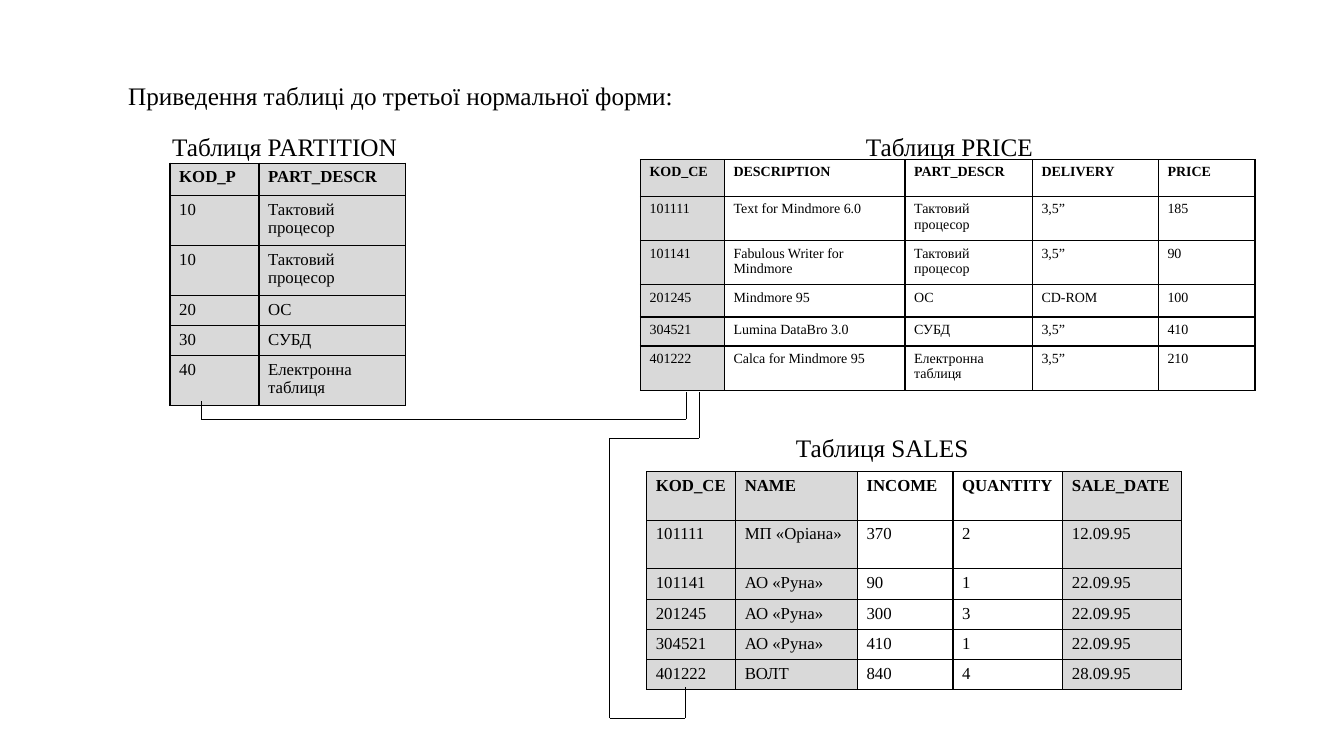
"""Build a slide showing three tables brought to third normal form."""
from dataclasses import dataclass
from itertools import pairwise

import lxml.etree
import pptx
import pptx.dml.color
import pptx.enum.shapes
import pptx.oxml.ns
import pptx.slide
import pptx.text.text
import pptx.util

Pt = pptx.util.Pt
qn = pptx.oxml.ns.qn

BLACK = pptx.dml.color.RGBColor(0x00, 0x00, 0x00)
WHITE = pptx.dml.color.RGBColor(0xFF, 0xFF, 0xFF)
GREY = pptx.dml.color.RGBColor(0xD9, 0xD9, 0xD9)
FONT = "Times New Roman"


@dataclass
class Heading:
    text: str
    left: float
    top: float
    width: float


@dataclass
class DataTable:
    left: float
    top: float
    size: float
    widths: list[float]
    heights: list[float]
    shaded: set[int]
    rows: list[list[str]]


HEADINGS = [
    Heading("Приведення таблиці до третьої нормальної форми:", 91.5, 57.5, 420),
    Heading("Таблиця PARTITION", 123, 94, 190),
    Heading("Таблиця PRICE", 618.5, 94, 150),
    Heading("Таблиця SALES", 568.5, 309, 150),
]

PRICE = DataTable(
    457.5, 114, 10, [60, 129, 91, 90, 69], [26.5, 31.5, 31.5, 23, 20.75, 31.5], {0},
    [
        ["KOD_CE", "DESCRIPTION", "PART_DESCR", "DELIVERY", "PRICE"],
        ["101111", "Text for Mindmore 6.0", "Тактовий процесор", "3,5”", "185"],
        ["101141", "Fabulous Writer for Mindmore", "Тактовий процесор", "3,5”", "90"],
        ["201245", "Mindmore 95", "ОС", "CD-ROM", "100"],
        ["304521", "Lumina DataBro 3.0", "СУБД", "3,5”", "410"],
        ["401222", "Calca for Mindmore 95", "Електронна таблиця", "3,5”", "210"],
    ],
)

SALES = DataTable(
    462, 337, 12, [63.5, 87, 68.25, 78.5, 84.5], [34.5, 34.5, 22.25, 20.5, 20.5, 20.5],
    {0, 1, 4},
    [
        ["KOD_CE", "NAME", "INCOME", "QUANTITY", "SALE_DATE"],
        ["101111", "МП «Оріана»", "370", "2", "12.09.95"],
        ["101141", "АО «Руна»", "90", "1", "22.09.95"],
        ["201245", "АО «Руна»", "300", "3", "22.09.95"],
        ["304521", "АО «Руна»", "410", "1", "22.09.95"],
        ["401222", "ВОЛТ", "840", "4", "28.09.95"],
    ],
)

PARTITION = DataTable(
    121.5, 116.5, 12, [63.5, 104.5], [23, 34.25, 33.5, 20.5, 20.5, 33.25], {0, 1},
    [
        ["KOD_P", "PART_DESCR"],
        ["10", "Тактовий процесор"],
        ["10", "Тактовий процесор"],
        ["20", "ОС"],
        ["30", "СУБД"],
        ["40", "Електронна таблиця"],
    ],
)

PARTITION_TO_PRICE = [(143.5, 286.5), (143.5, 299.5), (490.25, 299.5), (490.25, 280)]
PRICE_TO_SALES = [
    (499.25, 280), (499.25, 313), (435.5, 313), (435.5, 513), (489.5, 513), (489.5, 491),
]


def add_run(p: pptx.text.text._Paragraph, text: str, size: float, bold: bool = False) -> None:
    r = p.add_run()
    r.text = text
    r.font.name = FONT
    r.font.size = Pt(size)
    r.font.bold = bold
    r.font.color.rgb = BLACK


def add_heading(s: pptx.slide.Slide, heading: Heading) -> None:
    sp = s.shapes.add_textbox(Pt(heading.left), Pt(heading.top), Pt(heading.width), Pt(21))
    tf = sp.text_frame
    tf.word_wrap = True
    tf.margin_left = tf.margin_right = tf.margin_top = tf.margin_bottom = 0
    add_run(tf.paragraphs[0], heading.text, 18)


def add_borders(cell: pptx.table._Cell) -> None:
    tc_pr = cell._tc.get_or_add_tcPr()
    for side in ("a:lnL", "a:lnR", "a:lnT", "a:lnB"):
        ln = lxml.etree.SubElement(tc_pr, qn(side), w=str(Pt(1)))
        fill = lxml.etree.SubElement(ln, qn("a:solidFill"))
        lxml.etree.SubElement(fill, qn("a:srgbClr"), val=str(BLACK))


def add_data_table(s: pptx.slide.Slide, data: DataTable) -> None:
    frame = s.shapes.add_table(
        len(data.rows), len(data.widths), Pt(data.left), Pt(data.top),
        Pt(sum(data.widths)), Pt(sum(data.heights)),
    )
    table = frame.table
    table.first_row = False
    table.horz_banding = False
    for column, width in zip(table.columns, data.widths):
        column.width = Pt(width)
    for row, height in zip(table.rows, data.heights):
        row.height = Pt(height)
    for i, row_texts in enumerate(data.rows):
        for j, text in enumerate(row_texts):
            cell = table.cell(i, j)
            cell.margin_left = cell.margin_right = Pt(6.5)
            cell.margin_top = cell.margin_bottom = Pt(3.5)
            add_borders(cell)
            cell.fill.solid()
            cell.fill.fore_color.rgb = GREY if j in data.shaded else WHITE
            add_run(cell.text_frame.paragraphs[0], text, data.size, bold=i == 0)


def add_link(s: pptx.slide.Slide, points: list[tuple[float, float]]) -> None:
    for (x1, y1), (x2, y2) in pairwise(points):
        line = s.shapes.add_connector(
            pptx.enum.shapes.MSO_CONNECTOR.STRAIGHT, Pt(x1), Pt(y1), Pt(x2), Pt(y2)
        )
        line.line.color.rgb = BLACK
        line.line.width = Pt(0.5)
        lxml.etree.SubElement(line._element.spPr, qn("a:effectLst"))


def main() -> None:
    prs = pptx.Presentation()
    prs.slide_width = Pt(960)
    prs.slide_height = Pt(540)
    s = prs.slides.add_slide(prs.slide_layouts[6])
    for heading in HEADINGS:
        add_heading(s, heading)
    for data in (PRICE, SALES, PARTITION):
        add_data_table(s, data)
    for points in (PARTITION_TO_PRICE, PRICE_TO_SALES):
        add_link(s, points)
    prs.save("out.pptx")


if __name__ == "__main__":
    main()
